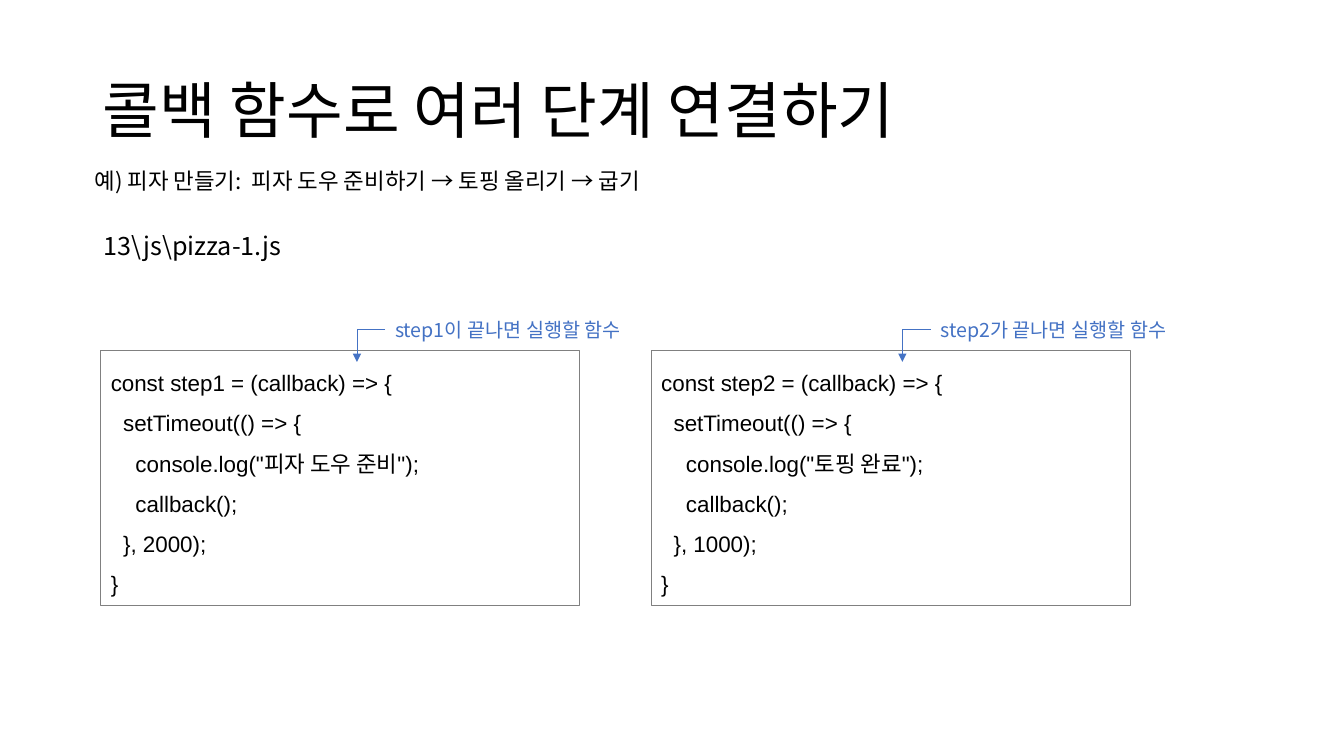
from dataclasses import dataclass

from lxml.etree import SubElement
from pptx import Presentation
from pptx.dml.color import RGBColor
from pptx.enum.shapes import MSO_CONNECTOR, MSO_SHAPE
from pptx.enum.text import MSO_ANCHOR, MSO_AUTO_SIZE, PP_ALIGN
from pptx.oxml.ns import qn
from pptx.util import Inches, Pt


@dataclass(frozen=True)
class Theme:
    ink: RGBColor = RGBColor(0x00, 0x00, 0x00)
    accent: RGBColor = RGBColor(0x44, 0x72, 0xC4)
    border: RGBColor = RGBColor(0x80, 0x80, 0x80)
    text_font: str = "Noto Sans CJK KR"
    code_font: str = "Arial"
    title_size: int = 44
    file_size: int = 18
    body_size: int = 16
    note_size: int = 14


class SlideBuilder:
    def __init__(self, slide, theme):
        self.shapes = slide.shapes
        self.theme = theme

    def add_lines(self, frame, lines, size, color, font, spacing):
        for index, line in enumerate(lines):
            paragraph = frame.paragraphs[0] if index == 0 else frame.add_paragraph()
            paragraph.alignment = PP_ALIGN.LEFT
            paragraph.line_spacing = spacing
            run = paragraph.add_run()
            run.text = line
            run.font.size = Pt(size)
            run.font.name = font
            run.font.color.rgb = color
            east_asian = SubElement(run.font._element, qn("a:ea"))
            east_asian.set("typeface", self.theme.text_font)

    def text(self, box, line, size, color=None, spacing=1.0, wrap=True,
             anchor=MSO_ANCHOR.TOP, fit=MSO_AUTO_SIZE.SHAPE_TO_FIT_TEXT):
        frame = self.shapes.add_textbox(*map(Inches, box)).text_frame
        frame.word_wrap = wrap
        frame.auto_size = fit
        frame.vertical_anchor = anchor
        self.add_lines(frame, [line], size, color or self.theme.ink,
                       self.theme.text_font, spacing)

    def code(self, box, lines):
        panel = self.shapes.add_shape(MSO_SHAPE.RECTANGLE, *map(Inches, box))
        panel.shadow.inherit = False
        panel.fill.background()
        panel.line.color.rgb = self.theme.border
        panel.line.width = Pt(0.75)
        frame = panel.text_frame
        frame.word_wrap = True
        frame.auto_size = MSO_AUTO_SIZE.SHAPE_TO_FIT_TEXT
        frame.vertical_anchor = MSO_ANCHOR.TOP
        self.add_lines(frame, lines, self.theme.body_size, self.theme.ink,
                       self.theme.code_font, 1.5)

    def bent_arrow(self, start, end):
        """Run left from start, then down to end."""
        arrow = self.shapes.add_connector(
            MSO_CONNECTOR.ELBOW, *map(Inches, start + end))
        arrow.line.color.rgb = self.theme.accent
        arrow.line.width = Pt(0.5)
        properties = arrow._element.spPr
        properties.find(qn("a:prstGeom")).set("prst", "bentConnector2")
        # A half turn plus a vertical flip mirrors the one-corner bend
        transform = properties.find(qn("a:xfrm"))
        transform.attrib.pop("flipH", None)
        transform.set("rot", "10800000")
        transform.set("flipV", "1")
        SubElement(properties.find(qn("a:ln")), qn("a:tailEnd")).set("type", "triangle")
        SubElement(properties, qn("a:effectLst"))


def step_code(name, message, delay):
    return [
        f"const {name} = (callback) => {{",
        "  setTimeout(() => {",
        f'    console.log("{message}");',
        "    callback();",
        f"  }}, {delay});",
        "}",
    ]


def main():
    presentation = Presentation()
    presentation.slide_width = Inches(13.33)
    presentation.slide_height = Inches(7.5)
    slide = presentation.slides.add_slide(presentation.slide_layouts[6])
    theme = Theme()
    builder = SlideBuilder(slide, theme)

    # Heading, example and file name
    builder.text((0.92, 0.4, 11.5, 1.45), "콜백 함수로 여러 단계 연결하기",
                 theme.title_size, spacing=0.9, anchor=MSO_ANCHOR.MIDDLE,
                 fit=MSO_AUTO_SIZE.NONE)
    builder.text((0.84, 1.34, 7.99, 0.56),
                 "예) 피자 만들기:  피자 도우 준비하기 → 토핑 올리기 → 굽기",
                 theme.body_size, spacing=2.0)
    builder.text((0.93, 2.24, 6.52, 0.4), r"13\js\pizza-1.js", theme.file_size)

    # Each step: code panel, callback note and its arrow
    steps = [
        (1.0, 3.82, 2.79, "step1", "이", "피자 도우 준비", 2000),
        (6.46, 9.23, 2.73, "step2", "가", "토핑 완료", 1000),
    ]
    for panel_left, note_left, note_width, name, particle, message, delay in steps:
        builder.code((panel_left, 3.48, 4.75, 2.53), step_code(name, message, delay))
        builder.text((note_left, 3.1, note_width, 0.34),
                     f"{name}{particle} 끝나면 실행할 함수",
                     theme.note_size, theme.accent, wrap=False)
        builder.bent_arrow((note_left, 3.27), (note_left - 0.28, 3.59))

    presentation.save("out.pptx")


if __name__ == "__main__":
    main()
